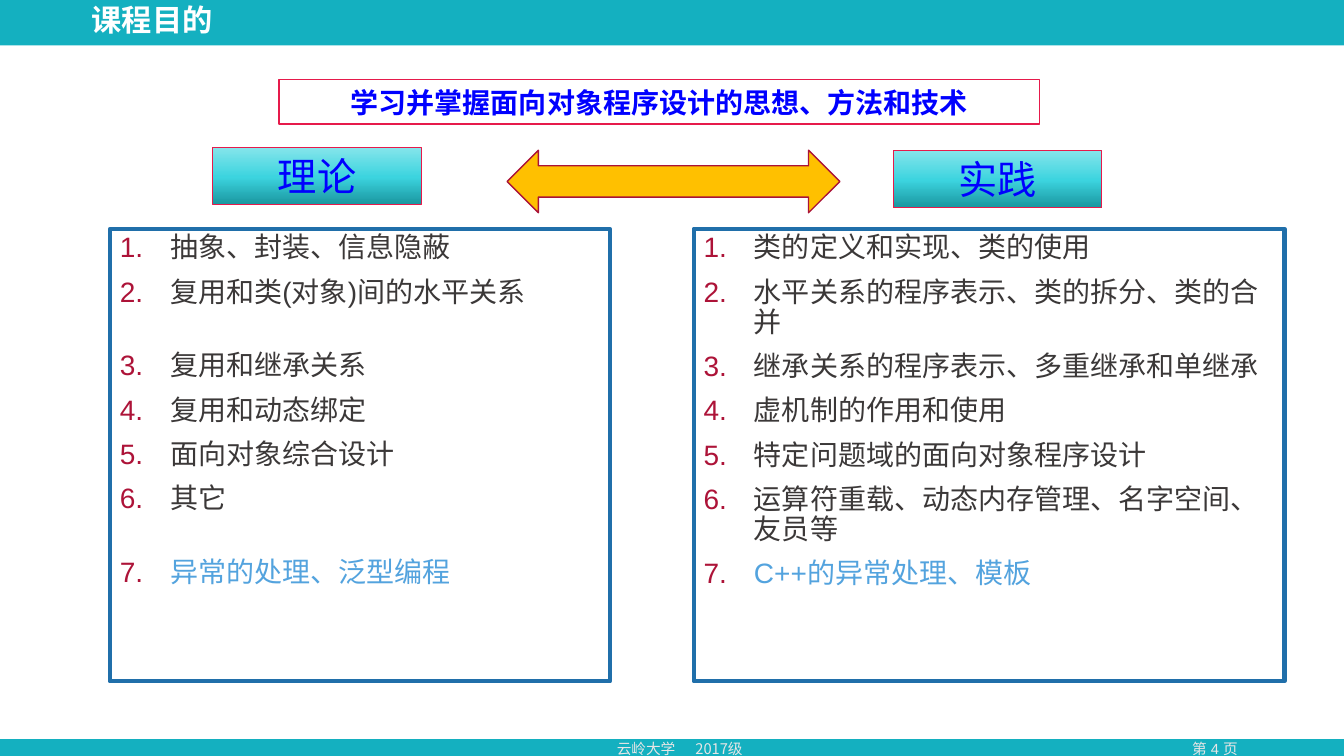
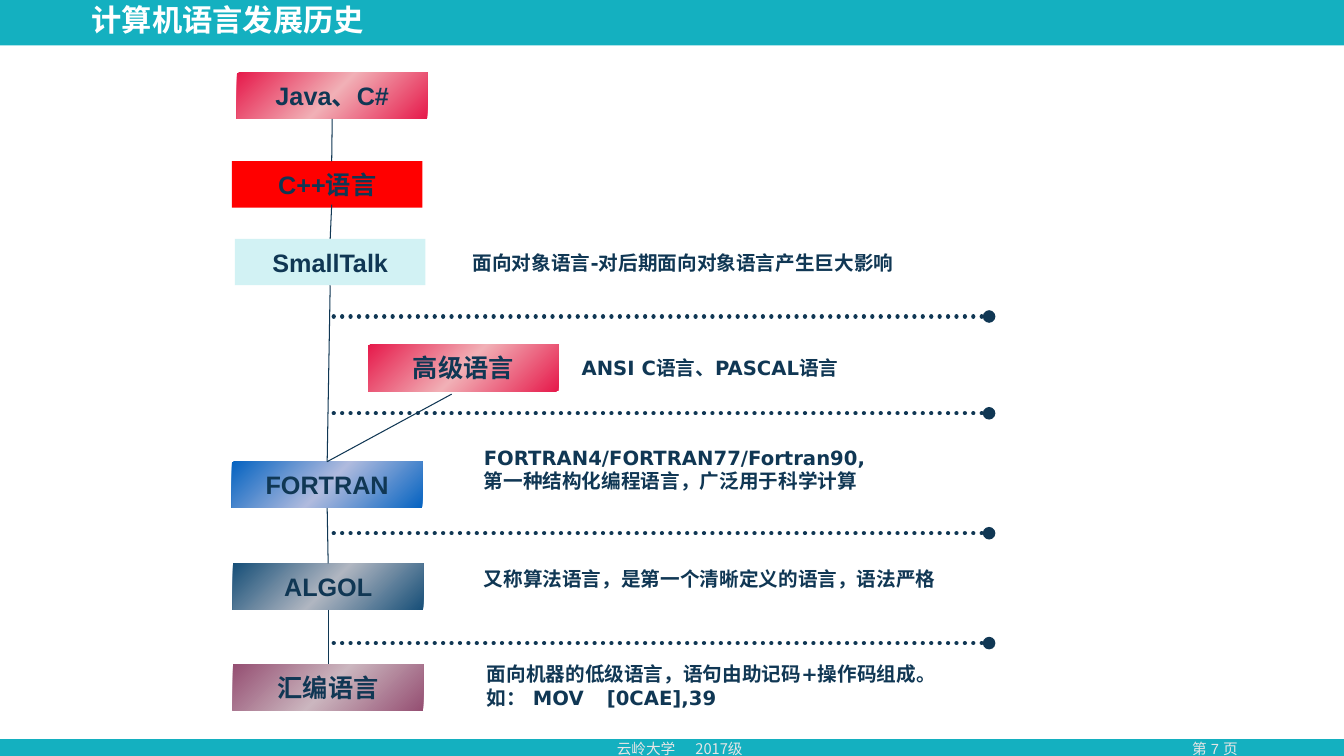
import pptx
import pptx.dml.color
import pptx.enum.dml
import pptx.enum.shapes
import pptx.enum.text
import pptx.oxml
import pptx.oxml.ns
import pptx.util

PX = 9144  # EMU per px, 100 px to the inch
C = {
    "teal": "14B0C0", "white": "FFFFFF", "grey": "E7E6E6", "text": "3B3838",
    "number": "AD1338", "sky": "53A3DE", "frame": "206FAA", "blue": "0000FF",
    "crimson": "E61A4B", "amber": "FFC000", "wine": "AA1337", "navy": "103754",
    "red": "FF0000", "mint": "D2F2F4",
}
GRADIENTS = {  # clockwise angle, then (position, colour) stops
    "aqua": (270, [(0, "1A969F"), (48, "3CD4DF"), (100, "86E5EB")]),
    "pink": (45, [(0, "E61A4B"), (50, "F1B0B6"), (100, "E61A4B")]),
    "royal": (45, [(0, "0563C1"), (50, "B0BBDE"), (100, "0563C1")]),
    "steel": (45, [(0, "174F78"), (50, "B0B6C1"), (100, "174F78")]),
    "plum": (45, [(0, "954F72"), (50, "CBB6BF"), (100, "954F72")]),
}
NOTO, ARIAL, DEJAVU = "Noto Sans CJK SC", "Arial", "DejaVu Sans"
NS = pptx.oxml.ns.nsdecls("a")
qn = pptx.oxml.ns.qn
parse_xml = pptx.oxml.parse_xml
rgb = pptx.dml.color.RGBColor.from_string
Pt = pptx.util.Pt
SHAPE = pptx.enum.shapes.MSO_SHAPE
STRAIGHT = pptx.enum.shapes.MSO_CONNECTOR.STRAIGHT
LEFT, CENTER = pptx.enum.text.PP_ALIGN.LEFT, pptx.enum.text.PP_ALIGN.CENTER
TOP, MIDDLE = pptx.enum.text.MSO_ANCHOR.TOP, pptx.enum.text.MSO_ANCHOR.MIDDLE


def add_box(s, at, fill=None, line=None, width=1, kind=SHAPE.RECTANGLE):
    """Add a preset shape; fill is a key of C or GRADIENTS, line a key of C."""
    sp = s.shapes.add_shape(kind, *[v * PX for v in at])
    sp.shadow.inherit = False
    if fill in GRADIENTS:
        angle, stops = GRADIENTS[fill]
        sp.fill.gradient()
        sp.fill.gradient_angle = 360 - angle
        gs_list = sp.element.spPr.find(qn("a:gradFill")).find(qn("a:gsLst"))
        for gs in list(gs_list):
            gs_list.remove(gs)
        for pos, color in stops:
            gs_list.append(parse_xml(
                f'<a:gs {NS} pos="{pos * 1000}"><a:srgbClr val="{color}"/></a:gs>'))
    elif fill:
        sp.fill.solid()
        sp.fill.fore_color.rgb = rgb(C[fill])
    else:
        sp.fill.background()
    if line:
        sp.line.color.rgb = rgb(C[line])
        sp.line.width = Pt(width)
    else:
        sp.line.fill.background()
    return sp


def write(sp, lines, size, font, color, bold=False, align=LEFT, anchor=MIDDLE,
          wrap=True, tab=None):
    """Fill a shape with one paragraph per line; tab is a tab stop in px."""
    tf = sp.text_frame
    for name, value in {"word_wrap": wrap, "vertical_anchor": anchor}.items():
        setattr(tf, name, value)
    for i, line in enumerate(lines):
        p = tf.paragraphs[0] if i == 0 else tf.add_paragraph()
        p.alignment = align
        r = p.add_run()
        r.text = line
        for name, value in {"size": Pt(size), "name": font, "bold": bold}.items():
            setattr(r.font, name, value)
        r.font.color.rgb = rgb(C[color])
        r.font._element.find(qn("a:latin")).addnext(
            parse_xml(f'<a:ea {NS} typeface="{font}"/>'))
        if "\t" in line:
            p._p.get_or_add_pPr().append(parse_xml(
                f'<a:tabLst {NS}><a:tab pos="{tab * PX}" algn="l"/></a:tabLst>'))
    return tf


prs = pptx.Presentation()
prs.slide_width, prs.slide_height = 1333 * PX, 750 * PX
layout = prs.slide_layouts[5]
layout.background.fill.solid()
layout.background.fill.fore_color.rgb = rgb(C["teal"])

# Titles and page numbers
slides = []
for title, page in [("课程目的", 4), ("计算机语言发展历史", 7)]:
    s = prs.slides.add_slide(layout)
    sp = s.shapes.title
    place = {"left": 81, "top": 0, "width": 950, "height": 44}
    for name, value in place.items():
        setattr(sp, name, value * PX)
    tf = write(sp, [title], 21.6, NOTO, "white", bold=True)
    tf.auto_size = pptx.enum.text.MSO_AUTO_SIZE.NONE
    tf.paragraphs[0].line_spacing = 0.9
    sp = s.shapes.add_textbox(*[v * PX for v in (1132, 729, 146, 28)])
    write(sp, [f"第 {page} 页"], 10.5, ARIAL, "grey", align=CENTER)
    slides.append(s)
goals, history = slides

# The white panel and the footer belong to the layout
panel = add_box(goals, (0, 45, 1333, 688), "white")
footer = goals.shapes.add_textbox(*[v * PX for v in (602, 729, 184, 28)])
write(footer, ["云岭大学\t2017级"], 10.5, NOTO, "grey", tab=78)
for sp in (panel, footer):
    layout.shapes.element.append(sp.element)

# Course goals
columns = [
    ((109, 227, 496, 449), [
        "抽象、封装、信息隐蔽", "复用和类(对象)间的水平关系", "复用和继承关系",
        "复用和动态绑定", "面向对象综合设计", "其它", "异常的处理、泛型编程"]),
    ((688, 227, 586, 449), [
        "类的定义和实现、类的使用", "水平关系的程序表示、类的拆分、类的合并",
        "继承关系的程序表示、多重继承和单继承", "虚机制的作用和使用",
        "特定问题域的面向对象程序设计", "运算符重载、动态内存管理、名字空间、友员等",
        "C++的异常处理、模板"]),
]
for at, items in columns:
    sp = add_box(goals, at, line="frame", width=3)
    tf = write(sp, items, 20, ARIAL, "text", anchor=TOP)
    for p in tf.paragraphs:
        for name, value in {"line_spacing": 0.9, "space_before": Pt(10)}.items():
            setattr(p, name, value)
        pPr = p._p.get_or_add_pPr()
        pPr.set("marL", str(50 * PX))
        pPr.set("indent", str(-50 * PX))
        pPr.append(parse_xml(
            f'<a:buClr {NS}><a:srgbClr val="{C["number"]}"/></a:buClr>'))
        pPr.append(parse_xml(f'<a:buAutoNum {NS} type="arabicPeriod"/>'))
    tf.paragraphs[-1].runs[0].font.color.rgb = rgb(C["sky"])
    if at == columns[0][0]:
        # keeps the items level with the two-line items on the right
        for i in (1, 5):
            tf.paragraphs[i].space_after = Pt(21)

for text, at in [("理论", (211, 146, 207, 57)), ("实践", (886, 149, 207, 57))]:
    sp = add_box(goals, at, "aqua", "crimson", 0.75)
    write(sp, [text], 28, NOTO, "blue", align=CENTER)
add_box(goals, (503, 149, 330, 62), "amber", "wine", 1, SHAPE.LEFT_RIGHT_ARROW)
sp = add_box(goals, (277, 79, 754, 44), line="crimson", width=1.25)
write(sp, ["学习并掌握面向对象程序设计的思想、方法和技术"], 20, NOTO, "blue",
      bold=True, align=CENTER)

# Language history
languages = {}
for text, x, y, fill in [
    ("Java、C#", 235, 72, "pink"),
    ("C++语言", 230, 160, "red"),
    ("SmallTalk", 233, 237, "mint"),
    ("高级语言", 365, 342, "pink"),
    ("FORTRAN", 230, 458, "royal"),
    ("ALGOL", 231, 559, "steel"),
    ("汇编语言", 231, 659, "plum"),
]:
    sp = add_box(history, (x, y, 189, 46), fill)
    write(sp, [text], 18, ARIAL, "navy", bold=True, align=CENTER, wrap=False)
    languages[text] = sp

# (ends in px, box joined at its bottom, box joined at its top)
links = [
    ((329, 118, 329, 160), "Java、C#", None),
    ((329, 203, 328, 237), None, "SmallTalk"),
    ((328, 283, 325, 458), "SmallTalk", "FORTRAN"),
    ((448, 391, 325, 458), None, "FORTRAN"),
    ((325, 504, 325, 559), "FORTRAN", "ALGOL"),
    ((325, 605, 325, 659), "ALGOL", "汇编语言"),
]
dividers = [((331, y, 981, y), None, None) for y in (314, 410, 529, 638)]
for ends, upper, lower in links + dividers:
    cx = history.shapes.add_connector(STRAIGHT, *[v * PX for v in ends])
    if upper:
        cx.begin_connect(languages[upper], 2)
    if lower:
        cx.end_connect(languages[lower], 0)
    cx.line.color.rgb = rgb(C["navy"])
    cx.line.width = Pt(0.75)
    if not (upper or lower):
        cx.line.width = Pt(3)
        cx.line.dash_style = pptx.enum.dml.MSO_LINE.ROUND_DOT
        ln = cx.element.spPr.find(qn("a:ln"))
        ln.set("cap", "rnd")
        ln.append(parse_xml(f'<a:tailEnd {NS} type="oval"/>'))
    cx.element.spPr.append(parse_xml(f"<a:effectLst {NS}/>"))

for at, lines in [
    ((459, 244, 442, 34), ["面向对象语言-对后期面向对象语言产生巨大影响"]),
    ((567, 348, 281, 34), ["ANSI C语言、PASCAL语言"]),
    ((470, 437, 418, 57),
     ["FORTRAN4/FORTRAN77/Fortran90,", "第一种结构化编程语言，广泛用于科学计算"]),
    ((470, 558, 472, 34), ["又称算法语言，是第一个清晰定义的语言，语法严格"]),
    ((473, 652, 469, 57),
     ["面向机器的低级语言，语句由助记码+操作码组成。", "如： MOV\t[0CAE],39"]),
]:
    sp = history.shapes.add_textbox(*[v * PX for v in at])
    write(sp, lines, 14, DEJAVU, "navy", bold=True, anchor=TOP, tab=119)

prs.save("out.pptx")
